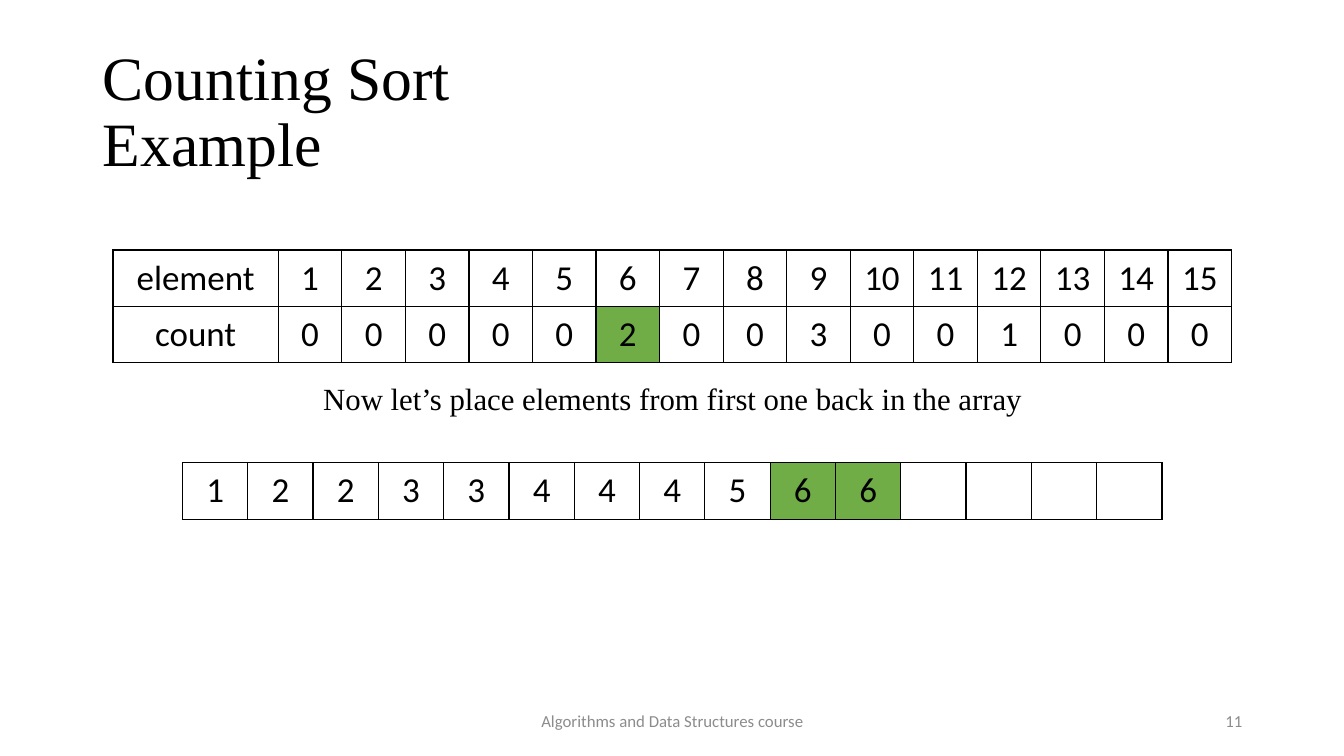
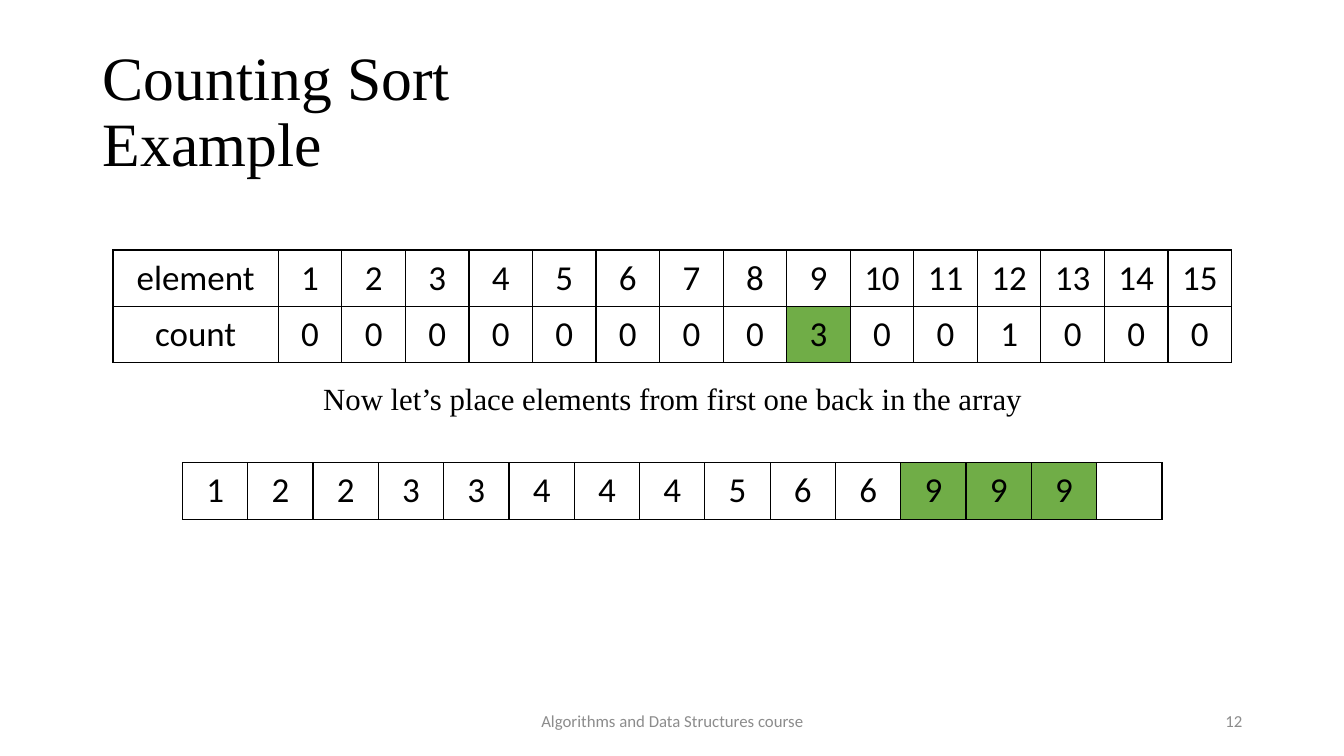
import pptx
import pptx.util
import pptx.dml.color
import pptx.enum.text
import pptx.oxml
import pptx.oxml.ns

Inches = pptx.util.Inches
Pt = pptx.util.Pt
ALIGN = pptx.enum.text.PP_ALIGN
ANCHOR = pptx.enum.text.MSO_ANCHOR

BLACK, GREY, WHITE, GREEN = "000000", "8C8C8C", "FFFFFF", "70AD47"
SERIF, SANS = "Times New Roman", "Calibri"
ROW_H = 0.56
SIZE = 15
TALLY = {1: 1, 2: 2, 3: 2, 4: 3, 5: 1, 6: 2, 9: 3, 12: 1}


def color(code):
    return pptx.dml.color.RGBColor.from_string(code)


def style(frame, font, size, code, align, space=None):
    for para in frame.paragraphs:
        para.alignment = align
        if space:
            para.line_spacing = space
        for run in para.runs:
            run.font.name = font
            run.font.size = Pt(size)
            run.font.color.rgb = color(code)


def add_text(slide, box, text, font, size, code, align,
             anchor=ANCHOR.MIDDLE, space=None):
    frame = slide.shapes.add_textbox(*map(Inches, box)).text_frame
    frame.word_wrap = True
    frame.vertical_anchor = anchor
    frame.text = text
    style(frame, font, size, code, align, space)


def add_border(cell):
    props = cell._tc.get_or_add_tcPr()
    for side in ("lnL", "lnR", "lnT", "lnB"):
        props.append(pptx.oxml.parse_xml(
            f'<a:{side} {pptx.oxml.ns.nsdecls("a")} w="12700"><a:solidFill>'
            f'<a:srgbClr val="{BLACK}"/></a:solidFill></a:{side}>'))


def add_grid(slide, left, top, widths, rows, marked):
    """Draw a bordered table; marked holds the (row, column) pairs in green."""
    box = (left, top, sum(widths), ROW_H * len(rows))
    table = slide.shapes.add_table(
        len(rows), len(widths), *map(Inches, box)).table
    table.first_row = table.horz_banding = False
    for col, width in zip(table.columns, widths):
        col.width = Inches(width)
    for r, row in enumerate(rows):
        table.rows[r].height = Inches(ROW_H)
        for c, value in enumerate(row):
            cell = table.cell(r, c)
            cell.margin_left = cell.margin_right = Inches(0.13)
            cell.margin_top = cell.margin_bottom = Inches(0.07)
            cell.vertical_anchor = ANCHOR.MIDDLE
            cell.text = str(value)
            style(cell.text_frame, SANS, 25, BLACK, ALIGN.CENTER)
            add_border(cell)
            cell.fill.solid()
            cell.fill.fore_color.rgb = color(
                GREEN if (r, c) in marked else WHITE)


def add_counts(slide, left, top, width, step):
    """Show the counts still left when the value step is being placed."""
    head = 1.64
    keys = range(1, SIZE + 1)
    left_over = [TALLY.get(key, 0) if key >= step else 0 for key in keys]
    widths = [head] + [(width - head) / SIZE] * SIZE
    rows = [["element", *keys], ["count", *left_over]]
    add_grid(slide, left, top, widths, rows, {(1, step)})


def add_array(slide, left, top, width, step):
    """Show the sorted array filled up to the value step."""
    done = [key for key, count in TALLY.items()
            for _ in range(count) if key <= step]
    marked = {(0, i) for i, key in enumerate(done) if key == step}
    row = done + [""] * (SIZE - len(done))
    add_grid(slide, left, top, [width / SIZE] * SIZE, [row], marked)


def add_frame(slide, number):
    """Place the title, footer and page number."""
    add_text(slide, (0.92, 0.4, 11.5, 1.45), "Counting Sort\nExample",
             SERIF, 44, BLACK, ALIGN.LEFT, space=0.9)
    add_text(slide, (4.42, 6.95, 4.5, 0.4),
             "Algorithms and Data Structures course",
             SANS, 12, GREY, ALIGN.CENTER)
    add_text(slide, (9.42, 6.95, 3, 0.4), str(number),
             SANS, 12, GREY, ALIGN.RIGHT)


def add_step(deck, number, step):
    slide = deck.slides.add_slide(deck.slide_layouts[6])
    add_text(slide, (0.92, 3.76, 11.5, 0.51),
             "Now let’s place elements from first one back in the array",
             SERIF, 22, BLACK, ALIGN.CENTER, ANCHOR.TOP, 0.9)
    add_frame(slide, number)
    add_array(slide, 1.81, 4.59, 9.72, step)
    add_counts(slide, 1.12, 2.48, 11.1, step)


def main():
    deck = pptx.Presentation()
    deck.slide_width = Inches(13.33)
    deck.slide_height = Inches(7.5)
    for number, step in ((11, 6), (12, 9)):
        add_step(deck, number, step)
    deck.save("out.pptx")


if __name__ == "__main__":
    main()
